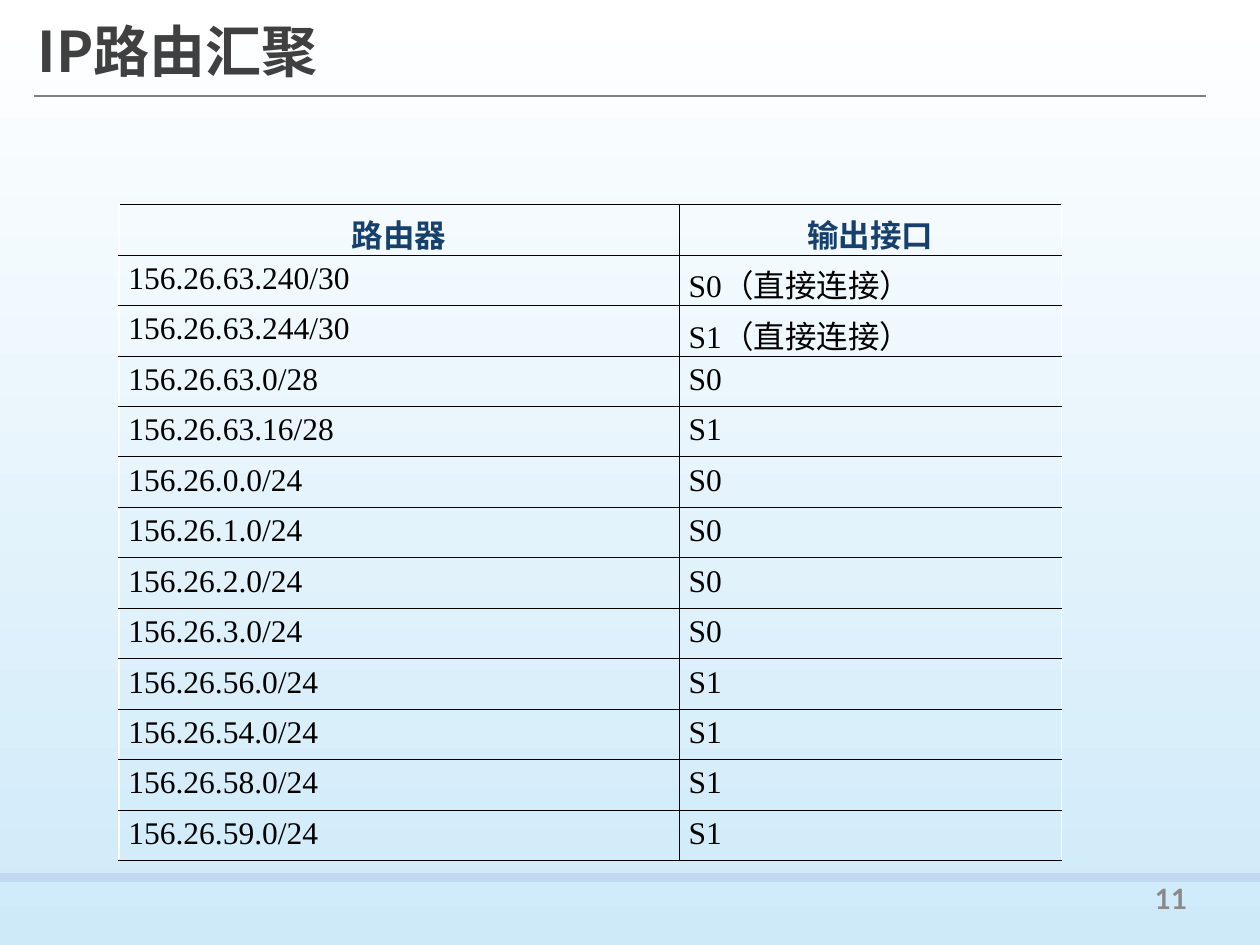
from lxml import etree
from pptx import Presentation
from pptx.dml.color import RGBColor
from pptx.enum import shapes, text
from pptx.oxml.ns import qn
from pptx.util import Pt

CJK, SERIF = "Noto Sans CJK SC", "Times New Roman"
ALIGN = text.PP_ALIGN
HEAD = ("路由器", "输出接口")
ROUTES = [
    ("156.26.63.240/30", "S0（直接连接）"),
    ("156.26.63.244/30", "S1（直接连接）"),
    ("156.26.63.0/28", "S0"),
    ("156.26.63.16/28", "S1"),
    ("156.26.0.0/24", "S0"),
    ("156.26.1.0/24", "S0"),
    ("156.26.2.0/24", "S0"),
    ("156.26.3.0/24", "S0"),
    ("156.26.56.0/24", "S1"),
    ("156.26.54.0/24", "S1"),
    ("156.26.58.0/24", "S1"),
    ("156.26.59.0/24", "S1"),
]


def color(code):
    return RGBColor.from_string(code)


def write(frame, words, size, font, code, bold, align):
    para = frame.paragraphs[0]
    para.text = words
    para.alignment = align
    run = para.runs[0].font
    run.size, run.name, run.bold = Pt(size), font, bold
    run.color.rgb = color(code)
    east = etree.SubElement(run._element, qn("a:ea"))
    east.set("typeface", CJK)
    return para


def add_text(slide, box, *style):
    frame = slide.shapes.add_textbox(*map(Pt, box)).text_frame
    frame.word_wrap = True
    return write(frame, *style)


def add_back(slide):
    fill = slide.background.fill
    fill.gradient()
    fill.gradient_angle = 270
    for stop, code in zip(fill.gradient_stops, ("FFFFFF", "CEEAF9")):
        stop.color.rgb = color(code)


def add_title(slide, box):
    left, top, width, height = box
    rule = top + 44.6
    line = slide.shapes.add_connector(
        shapes.MSO_CONNECTOR.STRAIGHT,
        Pt(left + 5), Pt(rule), Pt(left + 674.6), Pt(rule))
    line.line.color.rgb = color("7F7F7F")
    line.line.width = Pt(1.25)
    etree.SubElement(line._element.spPr, qn("a:effectLst"))
    para = add_text(slide, box, "IP路由汇聚", 32, CJK, "404040", True, ALIGN.LEFT)
    para.line_spacing = 0.9
    para.space_before, para.space_after = Pt(12), Pt(2)


def add_foot(slide, box):
    left, top, width, height = box
    band = slide.shapes.add_shape(
        shapes.MSO_SHAPE.RECTANGLE, Pt(left), Pt(top), Pt(width), Pt(5))
    band.shadow.inherit = False
    band.fill.solid()
    band.fill.fore_color.rgb = color("C0D8F1")
    band.line.fill.background()
    add_text(slide, (left + 643.7, top + 1.4, 51, 29),
             "11", 16, "Lato", "898989", True, ALIGN.CENTER)


def add_edges(cell, sides):
    """Draw a thin black border on the given sides, in L, R, T, B order."""
    props = cell._tc.get_or_add_tcPr()
    for spot, side in enumerate(sides):
        edge = etree.Element(qn("a:ln" + side), w=str(Pt(0.45)))
        fill = etree.SubElement(edge, qn("a:solidFill"))
        etree.SubElement(fill, qn("a:srgbClr"), val="000000")
        props.insert(spot, edge)


def add_routes(slide, box):
    left, top, width, height = box
    rows = [HEAD] + ROUTES
    grid = slide.shapes.add_table(len(rows), 2, *map(Pt, box)).table
    grid.first_row = grid.horz_banding = False
    for col, part in zip(grid.columns, (320.2, width - 320.2)):
        col.width = Pt(part)
    for y, row in enumerate(rows):
        grid.rows[y].height = Pt(height / len(rows))
        for x, words in enumerate(row):
            cell = grid.cell(y, x)
            cell.fill.background()
            cell.margin_left = cell.margin_right = Pt(5.4)
            cell.margin_top = cell.margin_bottom = Pt(3.6)
            style = ("17406D", True, ALIGN.CENTER) if y == 0 else (
                "000000", False, ALIGN.JUSTIFY)
            write(cell.text_frame, words, 18, SERIF, *style)
            add_edges(cell, "LTB" if x else "RTB")


def main():
    deck = Presentation()
    deck.slide_width, deck.slide_height = Pt(720), Pt(540)
    slide = deck.slides.add_slide(deck.slide_layouts[6])
    add_back(slide)
    add_foot(slide, (0, 499, 720, 41))
    add_title(slide, (14.4, 10.1, 646.6, 46.8))
    add_routes(slide, (68, 116.9, 538.7, 339.8))
    deck.save("out.pptx")


if __name__ == "__main__":
    main()
